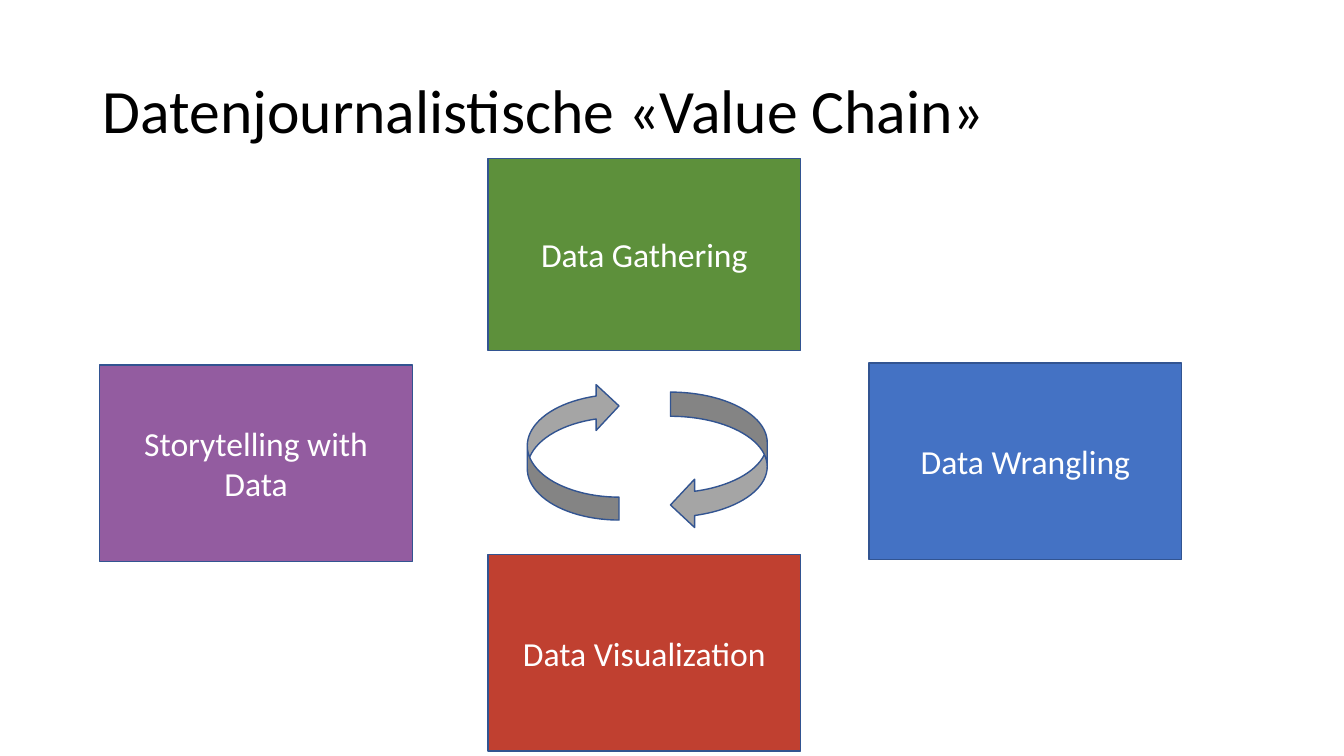
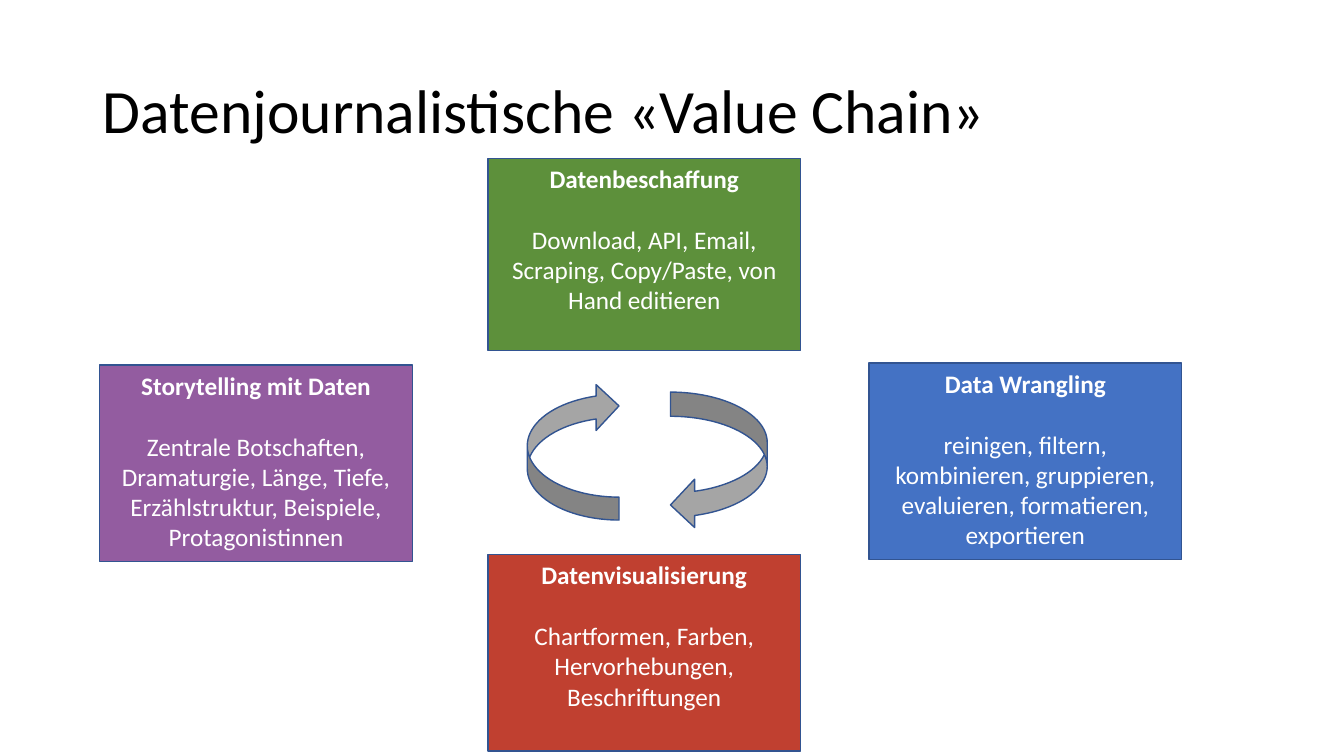
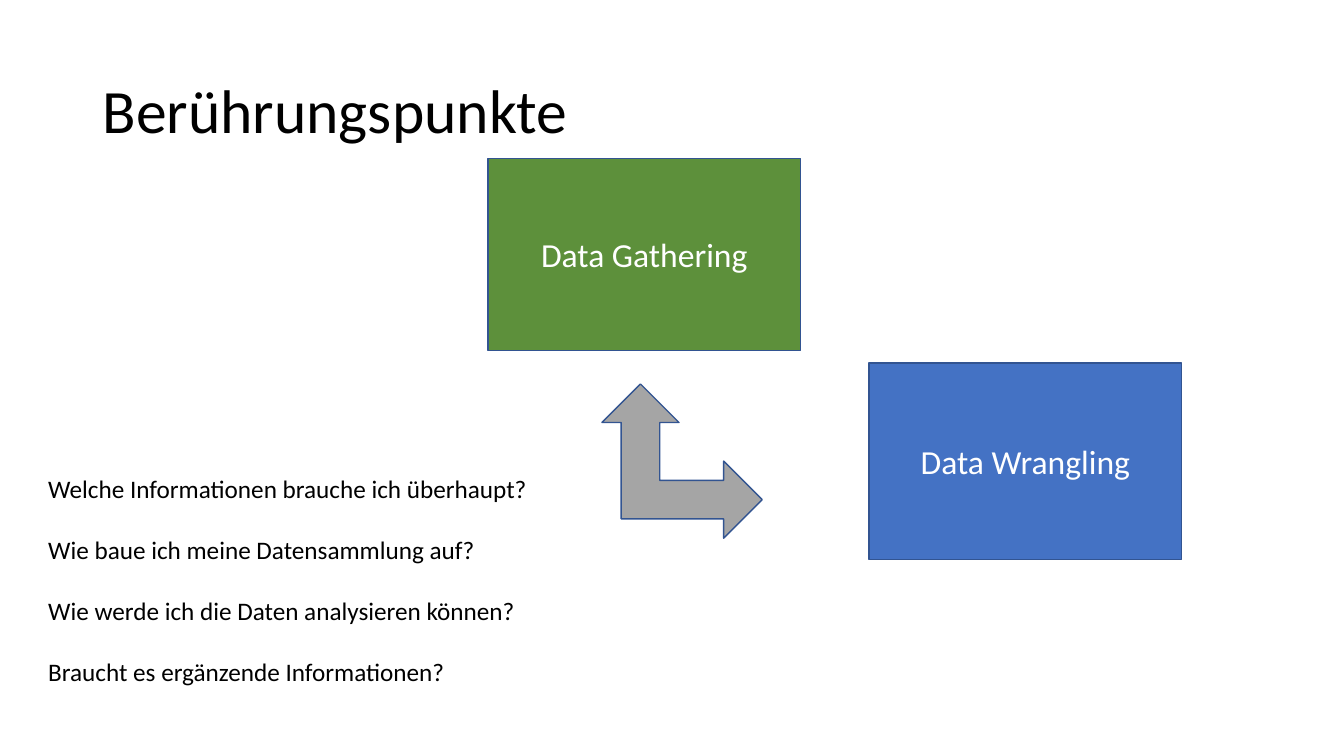
import dataclasses

import pptx
import pptx.dml.color
import pptx.enum.shapes
import pptx.enum.text
import pptx.util

Inches = pptx.util.Inches
Pt = pptx.util.Pt
SHAPES = pptx.enum.shapes.MSO_SHAPE
ANCHOR = pptx.enum.text.MSO_ANCHOR
ALIGN = pptx.enum.text.PP_ALIGN


@dataclasses.dataclass(frozen=True)
class Theme:
    font: str = "Calibri"
    text: str = "000000"
    box_text: str = "FFFFFF"
    outline: str = "325491"
    arrow: str = "A5A5A5"
    gathering: str = "5D903B"
    wrangling: str = "4472C4"
    visualization: str = "C04030"
    storytelling: str = "935CA0"
    title_size: int = 44
    label_size: int = 24
    body_size: int = 18
    paragraph_gap: int = 22  # one body line
    outline_width: int = 1


THEME = Theme()

# Place of each stage of the value chain: left, top, width, height
STAGES = {
    "wrangling": (8.62, 3.6, 3.1, 1.95),
    "visualization": (4.84, 5.5, 3.1, 1.95),
    "storytelling": (0.99, 3.62, 3.1, 1.95),
    "gathering": (4.84, 1.57, 3.1, 1.91),
}


def rgb(color):
    return pptx.dml.color.RGBColor.from_string(color)


def write_text(shape, *lines, size, color, align=ALIGN.LEFT, anchor=ANCHOR.TOP,
               bold_first=False, gap=0, line_spacing=None):
    """Write each line as a paragraph of the shape."""
    frame = shape.text_frame
    frame.word_wrap = True
    frame.vertical_anchor = anchor
    for index, line in enumerate(lines):
        paragraph = frame.add_paragraph() if index else frame.paragraphs[0]
        paragraph.alignment = align
        paragraph.line_spacing = line_spacing
        paragraph.space_before = Pt(gap if index else 0)
        run = paragraph.add_run()
        run.text = line
        run.font.name = THEME.font
        run.font.size = Pt(size)
        run.font.bold = bold_first and index == 0
        run.font.color.rgb = rgb(color)


class Deck:
    def __init__(self, theme):
        self.theme = theme
        self.presentation = pptx.Presentation()
        self.presentation.slide_width = Inches(13.33)
        self.presentation.slide_height = Inches(7.5)
        self.slide = None

    def new_slide(self, title):
        layout = self.presentation.slide_layouts[6]
        self.slide = self.presentation.slides.add_slide(layout)
        self.text_box((0.92, 0.4, 11.5, 1.45), title, size=self.theme.title_size,
                      anchor=ANCHOR.MIDDLE, line_spacing=0.9)

    def text_box(self, place, *lines, **text_format):
        shape = self.slide.shapes.add_textbox(*map(Inches, place))
        write_text(shape, *lines, color=self.theme.text, **text_format)

    def outlined_shape(self, kind, place, fill):
        shape = self.slide.shapes.add_shape(kind, *map(Inches, place))
        shape.shadow.inherit = False
        shape.fill.solid()
        shape.fill.fore_color.rgb = rgb(fill)
        shape.line.color.rgb = rgb(self.theme.outline)
        shape.line.width = Pt(self.theme.outline_width)
        return shape

    def stage(self, name, heading, details=None):
        """Draw a stage with a centred label, or with a heading and details."""
        shape = self.outlined_shape(SHAPES.RECTANGLE, STAGES[name],
                                    getattr(self.theme, name))
        if details:
            write_text(shape, heading, details, size=self.theme.body_size,
                       color=self.theme.box_text, align=ALIGN.CENTER,
                       bold_first=True, gap=self.theme.paragraph_gap)
        else:
            write_text(shape, heading, size=self.theme.label_size,
                       color=self.theme.box_text, align=ALIGN.CENTER,
                       anchor=ANCHOR.MIDDLE)

    def arrow(self, kind, place, flip=""):
        shape = self.outlined_shape(kind, place, self.theme.arrow)
        for axis in flip:
            shape.element.spPr.xfrm.set("flip" + axis, "1")

    def value_chain(self, stages):
        self.new_slide("Datenjournalistische «Value Chain»")
        for name, texts in stages.items():
            self.stage(name, *texts)
        self.arrow(SHAPES.CURVED_LEFT_ARROW, (6.65, 3.89, 0.96, 1.36))
        self.arrow(SHAPES.CURVED_LEFT_ARROW, (5.23, 3.8, 0.91, 1.36), flip="HV")


def main():
    deck = Deck(THEME)

    # Value chain: overview
    labels = {
        "wrangling": ["Data Wrangling"],
        "visualization": ["Data Visualization"],
        "storytelling": ["Storytelling with Data"],
        "gathering": ["Data Gathering"],
    }
    deck.value_chain(labels)

    # Value chain: details
    deck.value_chain({
        "wrangling": [
            "Data Wrangling",
            "reinigen, filtern, kombinieren, gruppieren, evaluieren, "
            "formatieren, exportieren"],
        "visualization": [
            "Datenvisualisierung",
            "Chartformen, Farben, Hervorhebungen, Beschriftungen"],
        "storytelling": [
            "Storytelling mit Daten",
            "Zentrale Botschaften, Dramaturgie, Länge, Tiefe, "
            "Erzählstruktur, Beispiele, Protagonistinnen"],
        "gathering": [
            "Datenbeschaffung",
            "Download, API, Email, Scraping, Copy/Paste, von Hand editieren"],
    })

    # Points of contact between gathering and wrangling
    deck.new_slide("Berührungspunkte")
    for name in ("wrangling", "gathering"):
        deck.stage(name, *labels[name])
    deck.arrow(SHAPES.LEFT_UP_ARROW, (5.97, 3.81, 1.59, 1.53), flip="H")
    deck.text_box((0.38, 4.65, 5.06, 2.22),
                  "Welche Informationen brauche ich überhaupt?",
                  "Wie baue ich meine Datensammlung auf?",
                  "Wie werde ich die Daten analysieren können?",
                  "Braucht es ergänzende Informationen?",
                  size=THEME.body_size, gap=THEME.paragraph_gap)

    deck.presentation.save("out.pptx")


if __name__ == "__main__":
    main()
